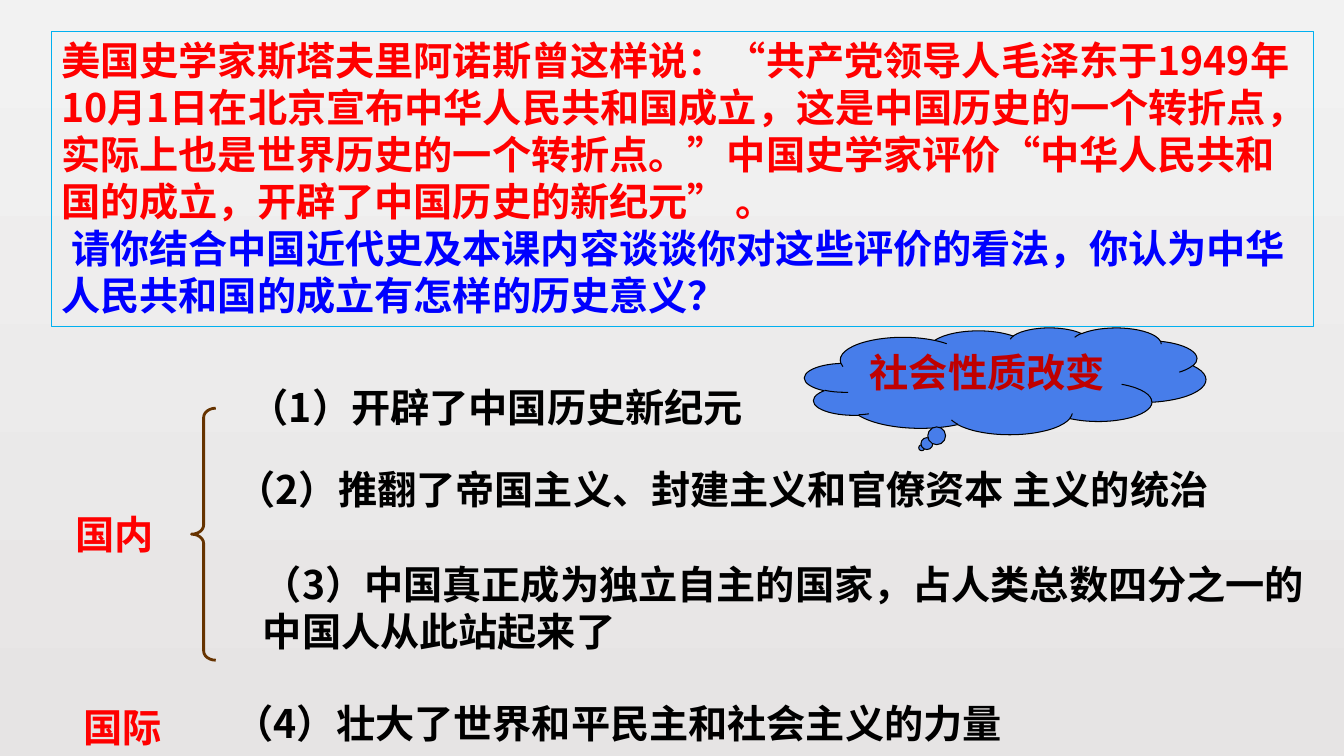
import pptx
import pptx.util
import pptx.dml.color
import pptx.enum.shapes
import pptx.enum.text
import pptx.oxml.ns
import lxml.etree

Inches = pptx.util.Inches
Kind = pptx.enum.shapes.MSO_SHAPE
SANS = "Noto Sans CJK SC"


def color(code):
    return pptx.dml.color.RGBColor.from_string(code)


def write(shape, paras):
    """Fill a shape with paragraphs, each a list of (text, colour, font) runs."""
    frame = shape.text_frame
    frame.word_wrap = True
    frame.vertical_anchor = pptx.enum.text.MSO_ANCHOR.TOP
    for i, runs in enumerate(paras):
        para = frame.add_paragraph() if i else frame.paragraphs[0]
        para.alignment = pptx.enum.text.PP_ALIGN.LEFT
        for text, code, face in runs:
            run = para.add_run()
            run.text = text
            run.font.size = pptx.util.Pt(28)
            run.font.bold = True
            run.font.color.rgb = color(code)
            run.font.name = face
            east = lxml.etree.SubElement(run.font._element, pptx.oxml.ns.qn("a:ea"))
            east.set("typeface", face)


deck = pptx.Presentation()
deck.slide_width = Inches(13.33)
deck.slide_height = Inches(7.5)
slide = deck.slides.add_slide(deck.slide_layouts[6])

back = slide.background.fill
back.gradient()
back.gradient_angle = 270
for stop, code in zip(back.gradient_stops, ("F2F2F2", "E6E4E4")):
    stop.color.rgb = color(code)

# Points and their group labels
labels = [
    (2.38, 3.75, 6.06, 0.57, "（1）开辟了中国历史新纪元", "000000"),
    (2.25, 4.57, 10.66, 0.57, "（2）推翻了帝国主义、封建主义和官僚资本 主义的统治", "000000"),
    (2.51, 5.51, 10.83, 1.04,
     "（3）中国真正成为独立自主的国家，占人类总数四分之一的中国人从此站起来了", "000000"),
    (2.23, 6.89, 8.03, 0.57, "（4）壮大了世界和平民主和社会主义的力量", "000000"),
    (0.65, 5.01, 1.05, 0.57, "国内", "FF0000"),
    (0.73, 6.93, 1.07, 0.57, "国际", "FF0000"),
]
for left, top, width, height, text, code in labels:
    box = slide.shapes.add_textbox(Inches(left), Inches(top), Inches(width), Inches(height))
    write(box, [[(text, code, SANS)]])

# Cloud, brace and quotation frame
outlines = [
    (Kind.CLOUD_CALLOUT, 7.98, 3.25, 3.98, 1.06, (-0.208, 0.625), "477DEA", "000000", 0.75),
    (Kind.LEFT_BRACE, 1.9, 4.05, 0.24, 2.5, (0.383, 0.5), None, "663300", 2),
    (Kind.RECTANGLE, 0.51, 0.31, 12.52, 2.93, (), None, "00B0F0", 0.75),
]
made = []
for kind, left, top, width, height, bends, fill, line, weight in outlines:
    shape = slide.shapes.add_shape(
        kind, Inches(left), Inches(top), Inches(width), Inches(height))
    shape.shadow.inherit = False
    for i, bend in enumerate(bends):
        shape.adjustments[i] = bend
    if fill:
        shape.fill.solid()
        shape.fill.fore_color.rgb = color(fill)
    else:
        shape.fill.background()
    shape.line.color.rgb = color(line)
    shape.line.width = pptx.util.Pt(weight)
    made.append(shape)

cloud, brace, quote = made
write(cloud, [[("社会性质改变", "C00000", SANS)]])
write(quote, [
    [("美国史学家斯塔夫里阿诺斯曾这样说：“共产党领导人毛泽东于1949年10月1日在北京宣布"
      "中华人民共和国成立，这是中国历史的一个转折点，实际上也是世界历史的一个转折点。”"
      "中国史学家评价“中华人民共和国的成立，开辟了中国历史的新纪元” 。", "FF0000", SANS)],
    [(" ", "FF0000", "Times New Roman"),
     ("请你结合中国近代史及本课内容谈谈你对这些评价的看法，"
      "你认为中华人民共和国的成立有怎样的历史意义？", "0000FF", SANS)],
])

deck.save("out.pptx")
